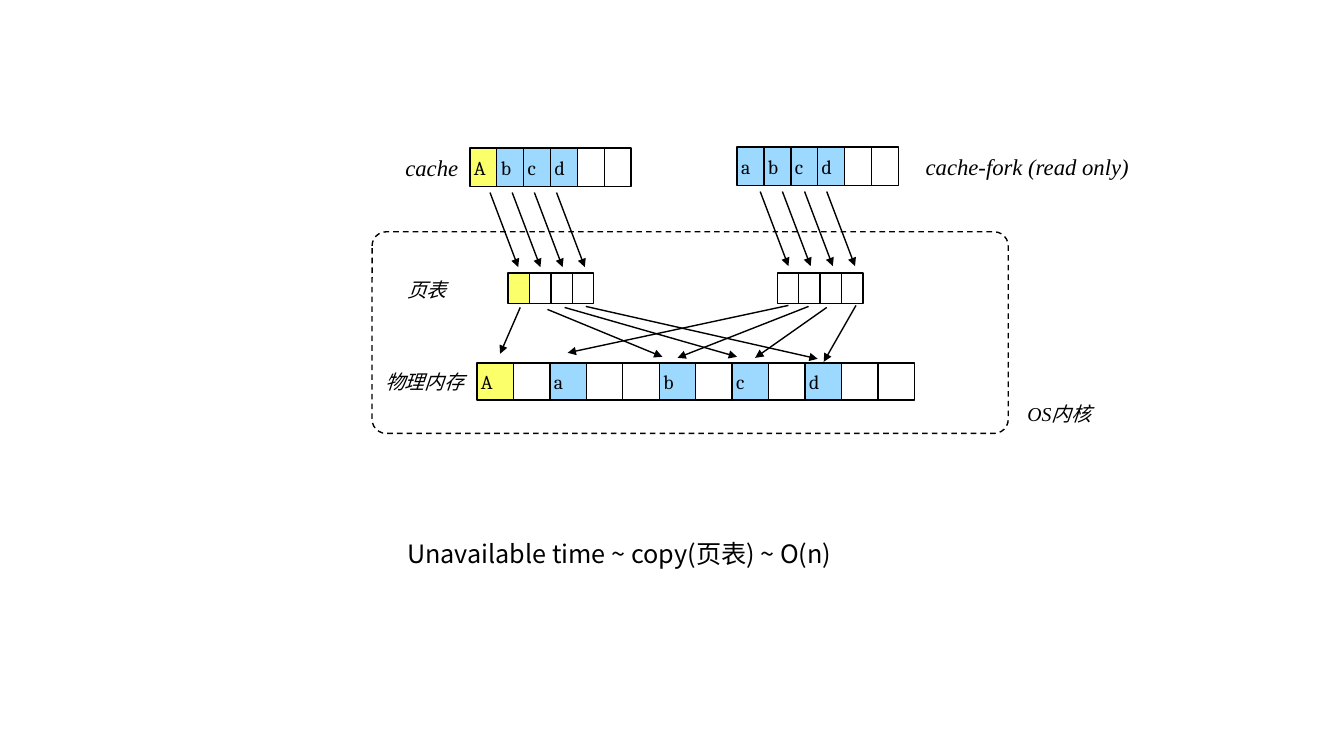
from lxml.etree import SubElement
from pptx import Presentation
from pptx.dml.color import RGBColor
from pptx.enum.dml import MSO_LINE
from pptx.enum.shapes import MSO_CONNECTOR, MSO_SHAPE
from pptx.enum.text import MSO_ANCHOR, MSO_AUTO_SIZE, PP_ALIGN
from pptx.oxml.ns import qn
from pptx.util import Inches, Pt

COLORS = {
    "line": "000000",
    "text": "000000",
    "cell_text": "030303",
    "changed": "FBFF69",
    "shared": "9DD8FF",
}


class Diagram:
    label_font = "Times New Roman"
    cell_font = "Cambria"
    body_font = "Noto Sans CJK SC"
    small = 14.1
    large = 16.2
    inset = Inches(0.04)

    def __init__(self, slide):
        self.shapes = slide.shapes

    def color(self, name):
        return RGBColor.from_string(COLORS[name])

    def set_text(self, tf, text, size, font, color="text", italic=None):
        p = tf.paragraphs[0]
        p.text = text
        p.alignment = PP_ALIGN.LEFT
        p.font.size = Pt(size)
        p.font.name = font
        p.font.italic = italic
        p.font.color.rgb = self.color(color)

    def tighten(self, tf):
        tf.vertical_anchor = MSO_ANCHOR.MIDDLE
        tf.margin_left = tf.margin_right = self.inset
        tf.margin_top = tf.margin_bottom = self.inset

    def box(self, kind, x, y, w, h, fill=None):
        sp = self.shapes.add_shape(kind, Inches(x), Inches(y), Inches(w), Inches(h))
        sp.shadow.inherit = False
        if fill:
            sp.fill.solid()
            sp.fill.fore_color.rgb = self.color(fill)
        else:
            sp.fill.background()
        sp.line.color.rgb = self.color("line")
        sp.line.width = Pt(1)
        return sp

    def cells(self, x, y, w, h, letters, changed=()):
        pitch = w / len(letters)
        for i, letter in enumerate(letters):
            text = letter.strip()
            fill = "changed" if i in changed else "shared" if text else None
            sp = self.box(MSO_SHAPE.RECTANGLE, x + i * pitch, y, pitch, h, fill)
            if text:
                self.tighten(sp.text_frame)
                self.set_text(sp.text_frame, text, self.small, self.cell_font, "cell_text")

    def frame(self, x, y, w, h, radius):
        sp = self.box(MSO_SHAPE.ROUNDED_RECTANGLE, x, y, w, h)
        sp.adjustments[0] = radius
        sp.line.dash_style = MSO_LINE.DASH

    def arrow(self, x1, y1, x2, y2):
        cxn = self.shapes.add_connector(
            MSO_CONNECTOR.STRAIGHT, Inches(x1), Inches(y1), Inches(x2), Inches(y2))
        cxn.line.color.rgb = self.color("line")
        cxn.line.width = Pt(1)
        sp_pr = cxn._element.spPr
        SubElement(sp_pr.find(qn("a:ln")), qn("a:tailEnd"), type="triangle")
        SubElement(sp_pr, qn("a:effectLst"))

    def text_box(self, x, y, w, h, wrap):
        tf = self.shapes.add_textbox(Inches(x), Inches(y), Inches(w), Inches(h)).text_frame
        tf.word_wrap = wrap
        tf.auto_size = MSO_AUTO_SIZE.NONE
        return tf

    def label(self, text, x, y, w, h, size=small, wrap=False):
        tf = self.text_box(x, y, w, h, wrap)
        self.tighten(tf)
        self.set_text(tf, text, size, self.label_font, italic=True)

    def caption(self, text, x, y, w, h):
        self.set_text(self.text_box(x, y, w, h, True), text, 18, self.body_font)


def main():
    prs = Presentation()
    prs.slide_width = Inches(13.33)
    prs.slide_height = Inches(7.5)
    s = Diagram(prs.slides.add_slide(prs.slide_layouts[6]))

    s.cells(4.66, 1.47, 1.6, 0.38, "Abcd  ", changed=[0])
    s.cells(7.31, 1.46, 1.6, 0.38, "abcd  ")
    s.label("cache", 3.98, 1.49, 0.52, 0.35, s.large)
    s.label("cache-fork (read only)", 9.14, 1.48, 2.02, 0.35, s.large)

    s.frame(3.69, 2.3, 6.31, 2, 0.07)
    s.cells(5.04, 2.71, 0.85, 0.3, "    ", changed=[0])
    s.cells(7.71, 2.71, 0.85, 0.3, "    ")
    s.cells(4.73, 3.6, 4.34, 0.37, "A a  b c d  ", changed=[0])

    for left, top in ((4.86, 1.91), (7.54, 1.9)):
        for i in range(4):
            x = left + i * 0.22
            s.arrow(x, top, x + 0.28, top + 0.74)

    page_to_memory = [
        (5.16, 3.05, 4.96, 3.51),
        (5.43, 3.07, 6.57, 3.54),
        (5.6, 3.05, 7.31, 3.54),
        (5.81, 3.04, 8.11, 3.56),
        (7.82, 3.03, 5.63, 3.5),
        (8.02, 3.04, 6.72, 3.55),
        (8.2, 3.05, 7.49, 3.55),
        (8.49, 3.03, 8.17, 3.59),
    ]
    for ends in page_to_memory:
        s.arrow(*ends)

    s.label("物理内存", 3.78, 3.63, 0.86, 0.32)
    s.label("页表", 4, 2.71, 0.47, 0.32)
    s.label("OS内核", 10.15, 3.94, 0.71, 0.32, wrap=True)
    s.caption("Unavailable time ~ copy(页表) ~ O(n)", 3.94, 5.29, 4.96, 0.4)

    prs.save("out.pptx")


if __name__ == "__main__":
    main()
